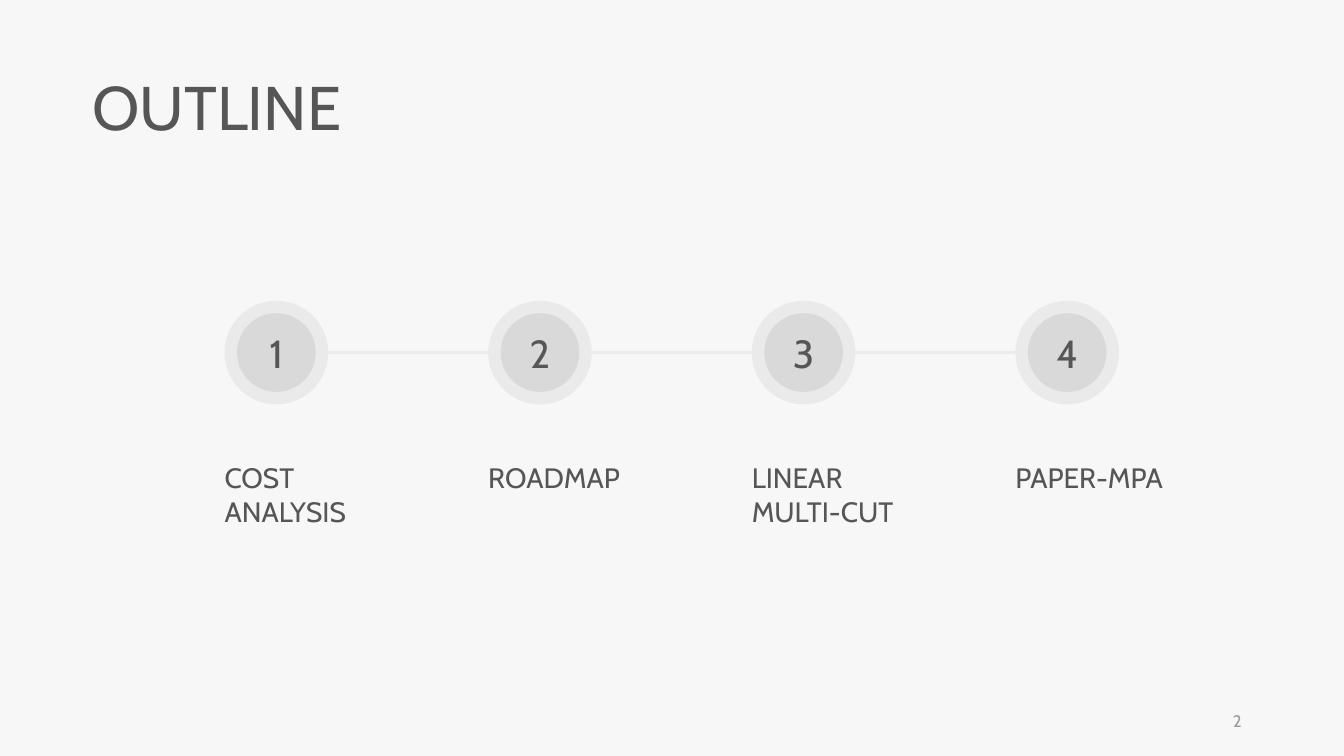
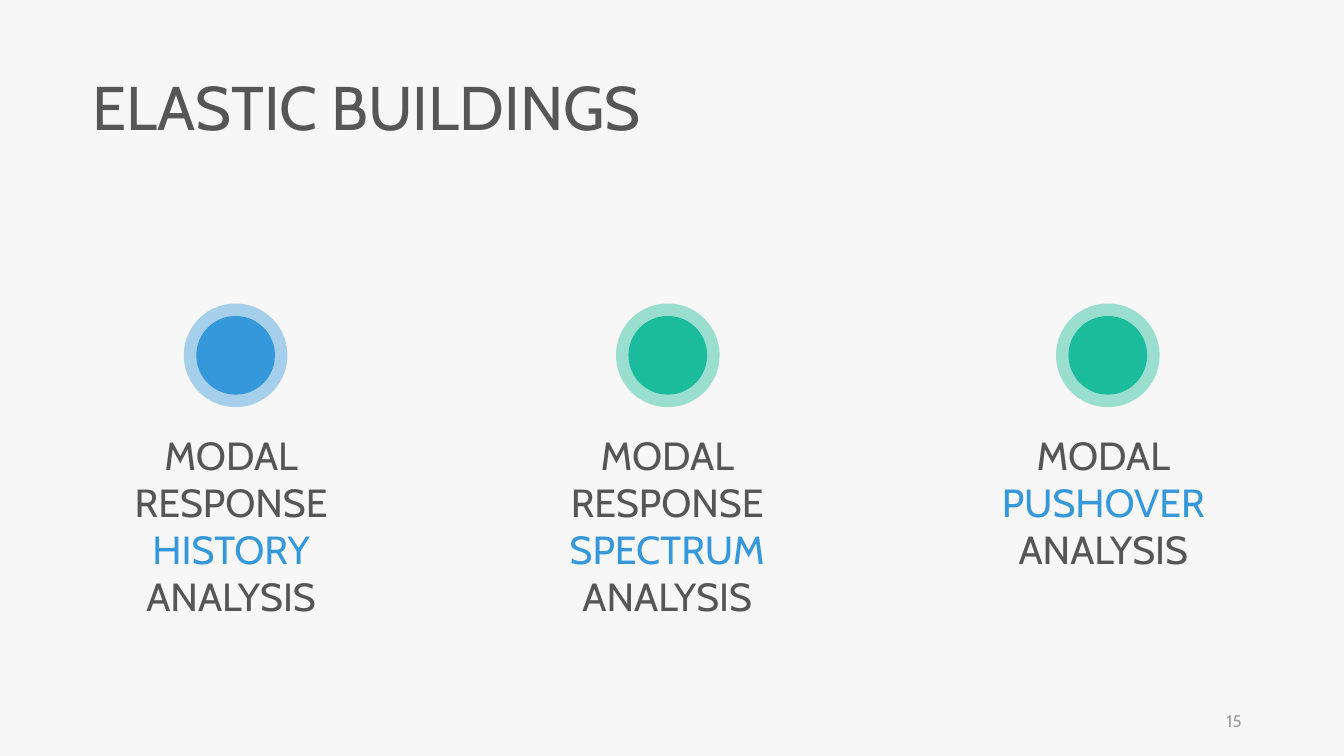
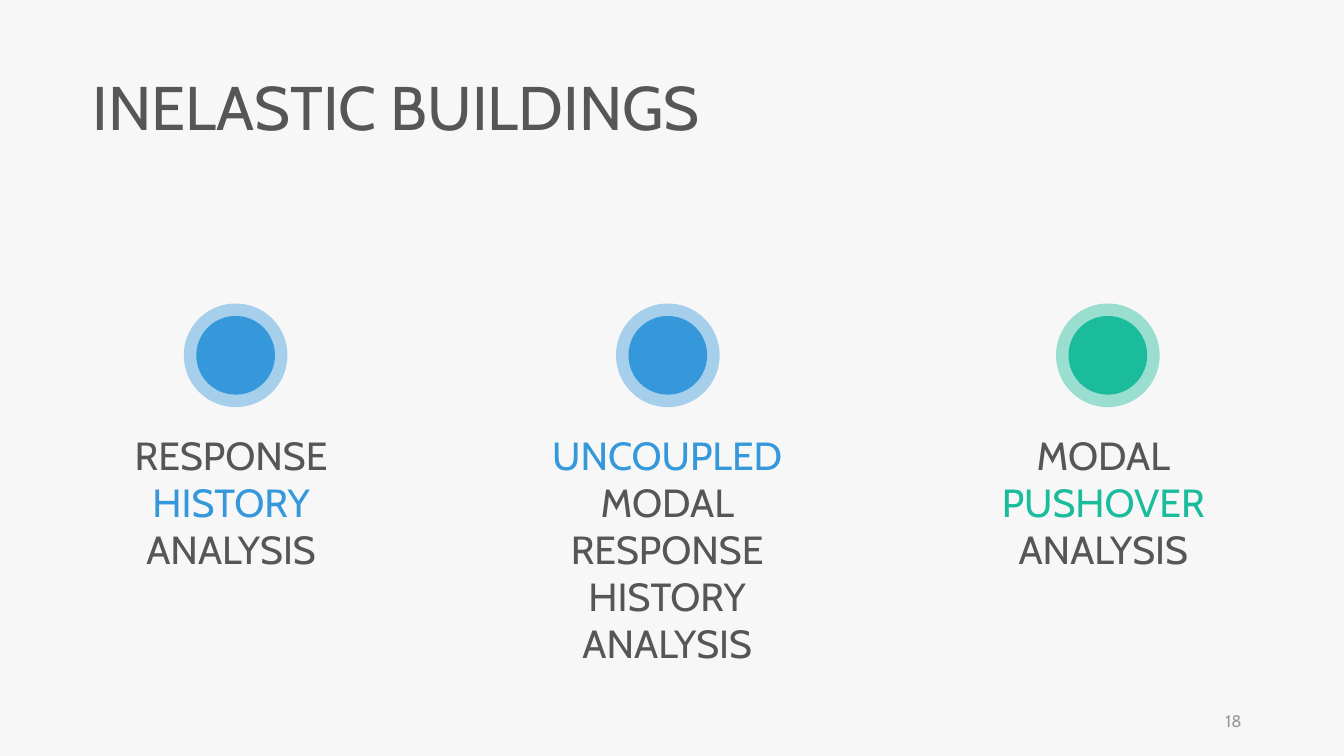
from lxml import etree
from pptx import Presentation
from pptx.dml.color import RGBColor
from pptx.enum import shapes, text
from pptx.oxml import ns
from pptx.util import Pt

BACKGROUND = RGBColor(0xF7, 0xF7, 0xF7)
INK = RGBColor(0x56, 0x56, 0x56)
FOOTER = RGBColor(0x9A, 0x9A, 0x9A)
SILVER = RGBColor(0xD9, 0xD9, 0xD9)
TRACK = RGBColor(0xED, 0xEC, 0xEC)
BLUE = RGBColor(0x34, 0x98, 0xDB)
GREEN = RGBColor(0x1A, 0xBC, 0x9C)

LEFT = text.PP_ALIGN.LEFT
CENTER = text.PP_ALIGN.CENTER
RIGHT = text.PP_ALIGN.RIGHT


class Deck:
    font = "Cabin"
    ring = 74
    core = 56.2
    halo_alpha = 42

    def __init__(self):
        self.prs = Presentation()
        self.prs.slide_width, self.prs.slide_height = Pt(960), Pt(540)
        fill = self.prs.slide_master.background.fill
        fill.solid()
        fill.fore_color.rgb = BACKGROUND
        self.slide = None

    def start(self, title, number, title_width):
        self.slide = self.prs.slides.add_slide(self.prs.slide_layouts[5])
        heading = self.slide.shapes.title
        heading.left, heading.top = Pt(66), Pt(51.8)
        heading.width, heading.height = Pt(title_width), Pt(55.4)
        self.set_text(heading.text_frame, title, 44, LEFT)
        self.fit(heading.text_frame)
        heading.text_frame.paragraphs[0].line_spacing = 0.9

        footer = self.box(678, 500.4, 216, 28.8)
        footer.vertical_anchor = text.MSO_ANCHOR.MIDDLE
        self.set_text(footer, str(number), 12, RIGHT, FOOTER)

    def box(self, left, top, width, height):
        frame = self.slide.shapes.add_textbox(
            Pt(left), Pt(top), Pt(width), Pt(height)).text_frame
        frame.word_wrap = True
        return frame

    def fit(self, frame):
        frame.word_wrap = True
        frame.margin_left, frame.margin_right = Pt(0), Pt(7.2)
        frame.margin_top = frame.margin_bottom = Pt(3.6)
        frame.vertical_anchor = text.MSO_ANCHOR.TOP
        frame.auto_size = text.MSO_AUTO_SIZE.SHAPE_TO_FIT_TEXT

    def set_text(self, frame, content, size, align, color=INK, accent=BLUE):
        paragraph = frame.paragraphs[0]
        paragraph.alignment = align
        for index, part in enumerate(content.split("*")):
            if part:
                run = paragraph.add_run()
                run.text = part
                run.font.name = self.font
                run.font.size = Pt(size)
                run.font.color.rgb = accent if index % 2 else color

    def label(self, content, left, top, width, height, size, align, accent=BLUE):
        frame = self.box(left, top, width, height)
        self.set_text(frame, content, size, align, accent=accent)
        self.fit(frame)

    def disc(self, group, left, top, size, color):
        disc = group.shapes.add_shape(
            shapes.MSO_SHAPE.OVAL, Pt(left), Pt(top), Pt(size), Pt(size))
        disc.shadow.inherit = False
        disc.fill.solid()
        disc.fill.fore_color.rgb = color
        disc.line.fill.background()
        return disc

    def badge(self, left, top, color, caption=""):
        group = self.slide.shapes.add_group_shape()
        inset = (self.ring - self.core) / 2
        self.disc(group, left + inset, top + inset, self.core, color)
        halo = self.disc(group, left, top, self.ring, color)
        tint = halo._element.spPr.find(".//" + ns.qn("a:srgbClr"))
        etree.SubElement(tint, ns.qn("a:alpha"), val=str(self.halo_alpha * 1000))
        halo.text_frame.vertical_anchor = text.MSO_ANCHOR.MIDDLE
        self.set_text(halo.text_frame, caption, 28, CENTER)

    def track(self, start, end, y):
        line = self.slide.shapes.add_connector(
            shapes.MSO_CONNECTOR.STRAIGHT, Pt(start), Pt(y), Pt(end), Pt(y))
        line.line.color.rgb = TRACK
        line.line.width = Pt(2.25)
        etree.SubElement(line._element.spPr, ns.qn("a:effectLst"))


def outline(deck):
    deck.start("OUTLINE", 2, 352.8)
    first, pitch, top = 160.4, 188.3, 214.8
    topics = [("COST ANALYSIS", 55.4), ("ROADMAP", 31.5),
              ("LINEAR MULTI-CUT", 55.4), ("PAPER-MPA", 31.5)]
    for index, (topic, height) in enumerate(topics):
        left = first + index * pitch
        deck.badge(left, top, SILVER, str(index + 1))
        deck.label(topic, left, 325.4, 121.7, height, 20, LEFT)
        if index:
            deck.track(left - pitch + deck.ring, left, top + deck.ring / 2)


def methods(deck, title, number, title_width, analyses):
    deck.start(title, number, title_width)
    for index, (left, analysis) in enumerate(zip((131.3, 440, 754.3), analyses)):
        name, lines, color, accent = analysis
        deck.badge(left, 216.8, color)
        deck.label(name, 66 + index * 311.5, 304.6, 205.2,
                   7.2 + lines * 34, 28, CENTER, accent)


def main():
    deck = Deck()
    outline(deck)
    methods(deck, "ELASTIC BUILDINGS", 15, 409.7, [
        ("MODAL RESPONSE *HISTORY* ANALYSIS", 4, BLUE, BLUE),
        ("MODAL RESPONSE *SPECTRUM* ANALYSIS", 4, GREEN, BLUE),
        ("MODAL *PUSHOVER *ANALYSIS", 3, GREEN, BLUE),
    ])
    methods(deck, "INELASTIC BUILDINGS", 18, 538.6, [
        ("RESPONSE *HISTORY* ANALYSIS", 3, BLUE, BLUE),
        ("*UNCOUPLED* MODAL RESPONSE HISTORY ANALYSIS", 5, BLUE, BLUE),
        ("MODAL *PUSHOVER *ANALYSIS", 3, GREEN, GREEN),
    ])
    deck.prs.save("out.pptx")


if __name__ == "__main__":
    main()
